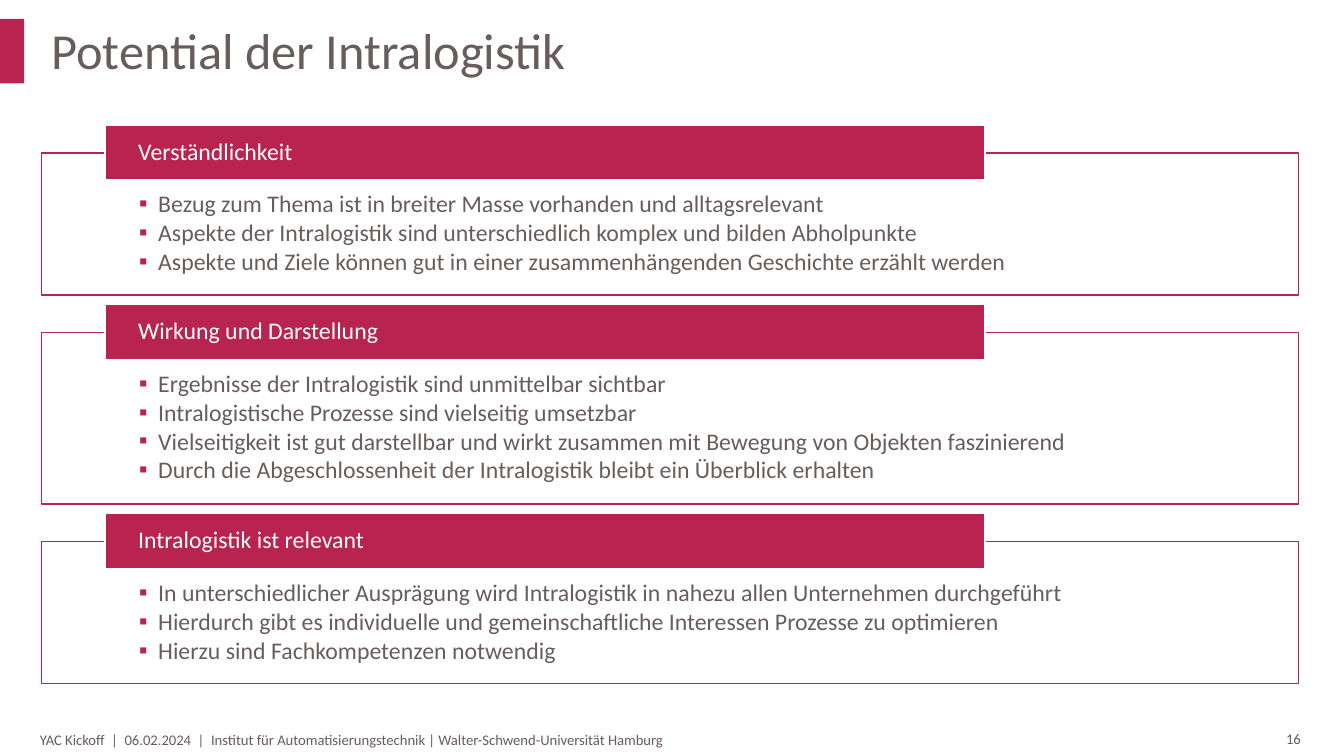
import pptx
import pptx.dml.color
import pptx.enum.shapes
import pptx.enum.text
import pptx.oxml
import pptx.oxml.ns
import pptx.util

Pt = pptx.util.Pt
RGBColor = pptx.dml.color.RGBColor
ANCHOR = pptx.enum.text.MSO_ANCHOR
ALIGN = pptx.enum.text.PP_ALIGN

CRIMSON = RGBColor(0xB8, 0x23, 0x4F)
GREY = RGBColor(0x69, 0x5C, 0x5D)
WHITE = RGBColor(0xFF, 0xFF, 0xFF)

FRAME_LEFT, FRAME_WIDTH, FIRST_TOP = 29.5, 898, 109.2
FRAME_BASE, LINE_HEIGHT, FRAME_GAP = 38, 21.15, 26.7
HEADER_LEFT, HEADER_WIDTH, HEADER_HEIGHT = 74.9, 628.6, 39.4
HEADER_RISE = 20

SECTIONS = [
    ("Verständlichkeit", [
        "Bezug zum Thema ist in breiter Masse vorhanden und alltagsrelevant",
        "Aspekte der Intralogistik sind unterschiedlich komplex und bilden Abholpunkte",
        "Aspekte und Ziele können gut in einer zusammenhängenden Geschichte erzählt werden",
    ]),
    ("Wirkung und Darstellung", [
        "Ergebnisse der Intralogistik sind unmittelbar sichtbar",
        "Intralogistische Prozesse sind vielseitig umsetzbar",
        "Vielseitigkeit ist gut darstellbar und wirkt zusammen mit Bewegung von Objekten faszinierend",
        "Durch die Abgeschlossenheit der Intralogistik bleibt ein Überblick erhalten",
    ]),
    ("Intralogistik ist relevant", [
        "In unterschiedlicher Ausprägung wird Intralogistik in nahezu allen Unternehmen durchgeführt",
        "Hierdurch gibt es individuelle und gemeinschaftliche Interessen Prozesse zu optimieren",
        "Hierzu sind Fachkompetenzen notwendig",
    ]),
]
FOOTER = ("YAC Kickoff  |  06.02.2024  |  Institut für Automatisierungstechnik | "
          "Walter-Schwend-Universität Hamburg")


def add_bullet(p):
    pPr = p._p.get_or_add_pPr()
    pPr.set("marL", str(Pt(13.7)))
    pPr.set("indent", str(-Pt(13.7)))
    ns = pptx.oxml.ns.nsdecls("a")
    for xml in (f'<a:buClr {ns}><a:srgbClr val="{CRIMSON}"/></a:buClr>',
                f'<a:buFont {ns} typeface="Calibri"/>',
                f'<a:buChar {ns} char="▪"/>'):
        pPr.append(pptx.oxml.parse_xml(xml))


def write(sp, lines, size=17, color=GREY, anchor=ANCHOR.MIDDLE, insets=(7.2, 3.6, 7.2, 3.6),
          spacing=0.9, after=0, bullet=False, wrap=True):
    tf = sp.text_frame
    tf.word_wrap = wrap
    tf.auto_size = pptx.enum.text.MSO_AUTO_SIZE.NONE
    tf.vertical_anchor = anchor
    tf.margin_left, tf.margin_top, tf.margin_right, tf.margin_bottom = map(Pt, insets)
    for i, line in enumerate(lines):
        p = tf.add_paragraph() if i else tf.paragraphs[0]
        p.alignment = ALIGN.LEFT
        p.line_spacing = spacing
        p.space_before = Pt(0)
        p.space_after = Pt(after)
        if bullet:
            add_bullet(p)
        r = p.add_run()
        r.text = line
        r.font.name = "Calibri"
        r.font.size = Pt(size)
        r.font.color.rgb = color


def add_rect(s, left, top, width, height, fill, line=None, alpha=None):
    sp = s.shapes.add_shape(pptx.enum.shapes.MSO_SHAPE.RECTANGLE,
                            Pt(left), Pt(top), Pt(width), Pt(height))
    sp.shadow.inherit = False
    sp.fill.solid()
    sp.fill.fore_color.rgb = fill
    if alpha:
        clr = sp._element.spPr.find(".//" + pptx.oxml.ns.qn("a:srgbClr"))
        ns = pptx.oxml.ns.nsdecls("a")
        clr.append(pptx.oxml.parse_xml(f'<a:alpha {ns} val="{alpha * 1000}"/>'))
    if line is None:
        sp.line.fill.background()
    else:
        sp.line.color.rgb = line
        sp.line.width = Pt(1)
    return sp


def add_text(s, left, top, width, height, text, **fmt):
    sp = s.shapes.add_textbox(Pt(left), Pt(top), Pt(width), Pt(height))
    write(sp, [text], **fmt)


def add_title(s, text):
    sp = s.shapes.title
    sp.left, sp.top, sp.width, sp.height = Pt(29.5), Pt(10.8), Pt(818), Pt(54.7)
    write(sp, [text], size=36)


def add_section(s, top, heading, points):
    height = FRAME_BASE + LINE_HEIGHT * len(points)
    frame = add_rect(s, FRAME_LEFT, top, FRAME_WIDTH, height, WHITE, CRIMSON, alpha=90)
    write(frame, points, anchor=ANCHOR.TOP, insets=(69.8, 28.1, 69.8, 9.4),
          after=2.3, bullet=True)
    header = add_rect(s, HEADER_LEFT, top - HEADER_RISE, HEADER_WIDTH, HEADER_HEIGHT,
                      CRIMSON, WHITE)
    write(header, [heading], color=WHITE, insets=(23.8, 0, 23.8, 0))
    return top + height + FRAME_GAP


def main():
    prs = pptx.Presentation()
    prs.slide_width, prs.slide_height = Pt(960), Pt(540)
    s = prs.slides.add_slide(prs.slide_layouts[5])
    add_text(s, 911.5, 517.7, 34.6, 20.2, "16", size=10.5, spacing=1,
             anchor=ANCHOR.TOP, wrap=False)
    add_text(s, 0, 515.5, 960, 25.2, FOOTER, size=10.5, spacing=1,
             insets=(28.4, 3.6, 7.2, 3.6))
    add_rect(s, 0, 13.5, 17.3, 46, CRIMSON)
    add_title(s, "Potential der Intralogistik")
    top = FIRST_TOP
    for heading, points in SECTIONS:
        top = add_section(s, top, heading, points)
    prs.save("out.pptx")


if __name__ == "__main__":
    main()
